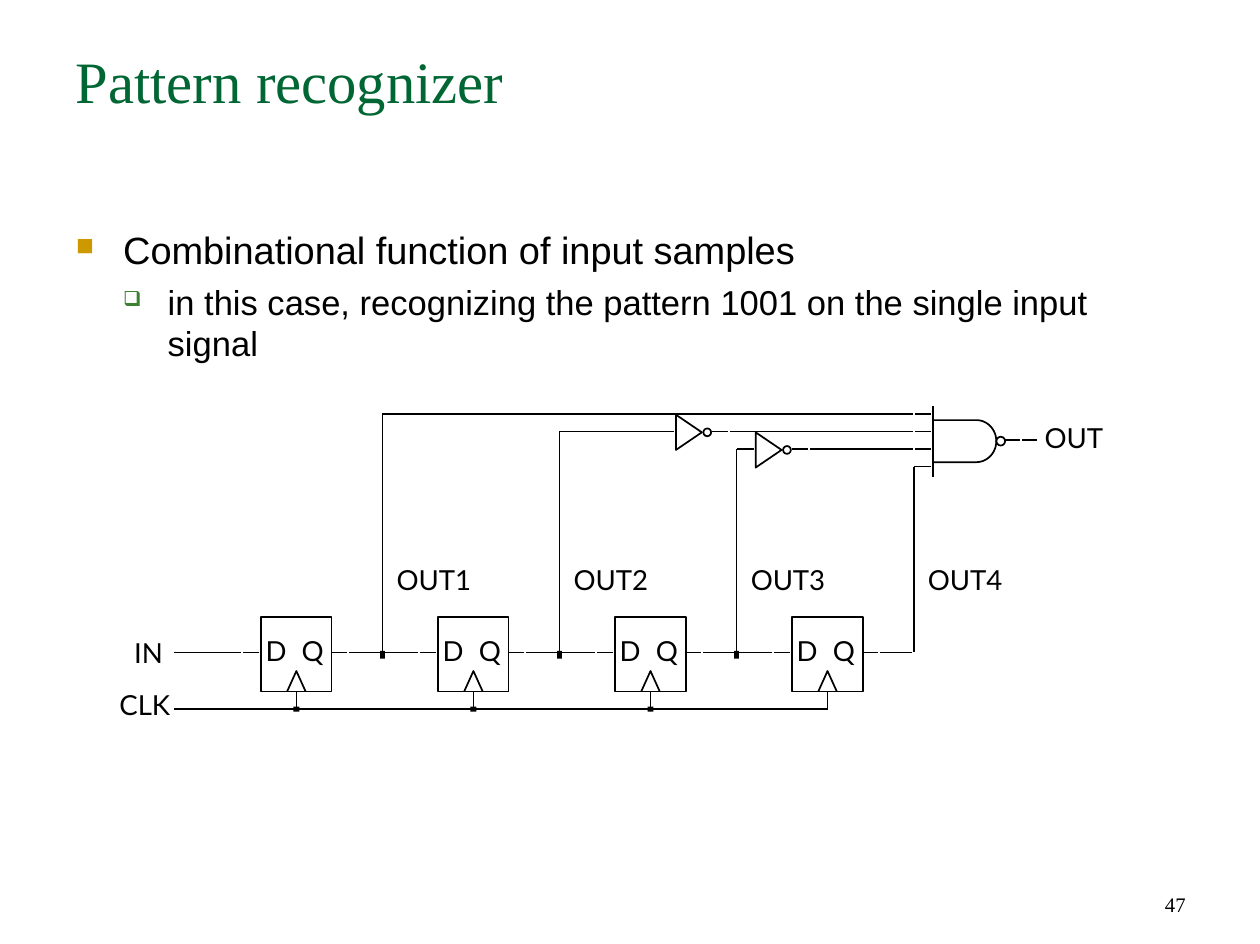
"""Build a slide that shows a shift-register pattern recognizer circuit."""
import math
from dataclasses import dataclass

import lxml.etree
import pptx
import pptx.dml.color
import pptx.enum.shapes
import pptx.enum.text
import pptx.oxml.ns
import pptx.util

Cm = pptx.util.Cm
Pt = pptx.util.Pt
qn = pptx.oxml.ns.qn
Align = pptx.enum.text.PP_ALIGN
Anchor = pptx.enum.text.MSO_ANCHOR
Preset = pptx.enum.shapes.MSO_SHAPE


@dataclass(frozen=True)
class Theme:
    """Colours, fonts and type sizes of the slide."""
    ink: str = "000000"
    paper: str = "FFFFFF"
    title: str = "006633"
    bullet: str = "CC9900"
    sub_bullet: str = "3B812F"
    serif: str = "Times New Roman"
    sans: str = "Arial"
    label_font: str = "Lato"
    title_size: int = 34
    body_size: int = 22
    sub_size: int = 20
    label_size: int = 16
    number_size: int = 12
    stroke: float = 1


THEME = Theme()
STAGES = 4
STAGE_LEFT, STAGE_PITCH = 5.33, 3.62
STAGE_WIDTH, STAGE_HEIGHT, STAGE_TOP = 1.45, 1.52, 12.62
STAGE_BOTTOM = STAGE_TOP + STAGE_HEIGHT
TAP_OFFSET, CLOCK_OFFSET = 2.49, 0.73
DATA_Y, CLOCK_Y = 13.34, 14.5
INPUT_X, JOINT, WIRE_GAP = 3.56, 0.36, 0.04
GATE_X, GATE_JOINT_X = 19.08, 18.7
GATE_INPUT_TOP, GATE_INPUT_PITCH = 8.46, 0.36
INVERTERS = {1: 13.82, 2: 15.45}


def rgb(value):
    """Return a colour object for a hex value."""
    return pptx.dml.color.RGBColor.from_string(value)


def set_font(paragraph, name, size, color):
    """Set the font of a whole paragraph."""
    paragraph.font.name = name
    paragraph.font.size = Pt(size)
    paragraph.font.color.rgb = rgb(color)


def add_frame(slide, box, margins=(0.25, 0.13), anchor=Anchor.TOP):
    """Add a wrapping text box and return its text frame."""
    frame = slide.shapes.add_textbox(*map(Cm, box)).text_frame
    frame.word_wrap = True
    frame.vertical_anchor = anchor
    frame.margin_left = frame.margin_right = Cm(margins[0])
    frame.margin_top = frame.margin_bottom = Cm(margins[1])
    return frame


def add_label(slide, text, left, top, width, align=Align.LEFT):
    """Add a one-line circuit label."""
    paragraph = add_frame(slide, (left, top, width, 0.97), (0.05, 0.08)).paragraphs[0]
    paragraph.text = text
    paragraph.alignment = align
    paragraph.line_spacing = Pt(17)
    set_font(paragraph, THEME.label_font, THEME.label_size, THEME.ink)


def add_bullet(paragraph, symbol, color, percent, margin, indent):
    """Give a paragraph a coloured bullet with a hanging indent."""
    properties = paragraph._p.get_or_add_pPr()
    properties.set("marL", str(Cm(margin)))
    properties.set("indent", str(Cm(-indent)))
    bullet_color = lxml.etree.SubElement(properties, qn("a:buClr"))
    lxml.etree.SubElement(bullet_color, qn("a:srgbClr"), val=color)
    lxml.etree.SubElement(properties, qn("a:buSzPct"), val=str(percent * 1000))
    lxml.etree.SubElement(properties, qn("a:buChar"), char=symbol)


def add_line(slide, x1, y1, x2, y2):
    """Add a straight line without shadow."""
    line = slide.shapes.add_connector(
        pptx.enum.shapes.MSO_CONNECTOR.STRAIGHT, *map(Cm, (x1, y1, x2, y2)))
    line.line.color.rgb = rgb(THEME.ink)
    line.line.width = Pt(THEME.stroke)
    lxml.etree.SubElement(line._element.spPr, qn("a:effectLst"))


def add_wire(slide, y, *stops):
    """Add a horizontal wire in segments that end just short of each stop."""
    for start, end in zip(stops, stops[1:]):
        add_line(slide, start, y, end - WIRE_GAP, y)


def style_shape(shape, fill=None):
    """Outline a shape and fill it or leave it open."""
    shape.shadow.inherit = False
    shape.line.color.rgb = rgb(THEME.ink)
    shape.line.width = Pt(THEME.stroke)
    if fill:
        shape.fill.solid()
        shape.fill.fore_color.rgb = rgb(fill)
    else:
        shape.fill.background()


def add_dot(slide, x, y, width, height):
    """Add a solid wire junction centred on a point."""
    dot = slide.shapes.add_shape(
        Preset.RECTANGLE, *map(Cm, (x - width / 2, y - height / 2, width, height)))
    style_shape(dot, THEME.ink)
    dot.line.fill.background()


def add_bubble(slide, left, middle, size):
    """Add an inversion circle."""
    style_shape(slide.shapes.add_shape(
        Preset.OVAL, *map(Cm, (left, middle - size / 2, size, size))))


def add_outline(slide, points, close):
    """Add an unfilled outline through the points."""
    corners = [(Cm(x), Cm(y)) for x, y in points]
    builder = slide.shapes.build_freeform(*corners[0])
    builder.add_line_segments(corners[1:], close=close)
    style_shape(builder.convert_to_shape())


def add_inverter(slide, left, y):
    """Add an inverter triangle and its bubble."""
    middle = y + 0.02
    add_outline(slide, [(left, middle - 0.36), (left + 0.53, middle),
                        (left, middle + 0.36)], True)
    add_bubble(slide, left + 0.56, middle, 0.16)


def add_nand_gate(slide):
    """Add the output gate with its input bar, bubble and output wire."""
    center_x, center_y, radius_x, radius_y = 19.96, 9.02, 0.41, 0.43
    angles = [math.radians(degrees) for degrees in range(-90, 91, 5)]
    arc = [(center_x + radius_x * math.cos(angle), center_y + radius_y * math.sin(angle))
           for angle in angles]
    add_outline(slide, [(GATE_X, center_y - radius_y), *arc,
                        (GATE_X, center_y + radius_y)], False)
    add_line(slide, GATE_X, 8.31, GATE_X, 9.75)
    add_bubble(slide, 20.37, center_y, 0.18)
    add_wire(slide, 8.99, 20.55, 20.9, 21.25)
    add_label(slide, "OUT", 21.31, 8.61, 2.24)


def add_stage(slide, index):
    """Add a flip-flop with its clock pin, output wire and tap to the gate."""
    left = STAGE_LEFT + index * STAGE_PITCH
    right, tap, clock = left + STAGE_WIDTH, left + TAP_OFFSET, left + CLOCK_OFFSET
    following = left + STAGE_PITCH
    last = index == STAGES - 1
    style_shape(slide.shapes.add_shape(
        Preset.RECTANGLE, *map(Cm, (left, STAGE_TOP, STAGE_WIDTH, STAGE_HEIGHT))), THEME.paper)
    add_outline(slide, [(clock - 0.19, STAGE_BOTTOM), (clock, 13.72),
                        (clock + 0.19, STAGE_BOTTOM)], False)
    add_label(slide, "D", left + 0.05, 12.95, 0.7)
    add_label(slide, "Q", left + 0.79, 12.95, 0.7)
    add_line(slide, clock, STAGE_BOTTOM, clock, CLOCK_Y)
    add_wire(slide, DATA_Y, right, right + JOINT, tap)
    if not last:
        add_wire(slide, DATA_Y, tap, following - JOINT, following)
        add_dot(slide, tap, 13.39, 0.1, 0.16)
        add_dot(slide, clock, CLOCK_Y, 0.12, 0.1)

    input_y = GATE_INPUT_TOP + index * GATE_INPUT_PITCH
    add_line(slide, tap, input_y, tap, DATA_Y)
    add_label(slide, f"OUT{index + 1}", tap + 0.24, 11.51, 2)
    if index in INVERTERS:
        inverter = INVERTERS[index]
        add_wire(slide, input_y, tap, inverter)
        add_inverter(slide, inverter, input_y)
        add_wire(slide, input_y, inverter + 0.74, inverter + 1.1, GATE_JOINT_X, GATE_X)
    elif last:
        add_wire(slide, input_y, tap, GATE_X)
    else:
        add_wire(slide, input_y, tap, GATE_JOINT_X, GATE_X)


def add_inputs(slide):
    """Add the data and clock inputs."""
    clocks = [STAGE_LEFT + CLOCK_OFFSET + index * STAGE_PITCH for index in range(STAGES)]
    add_wire(slide, DATA_Y, INPUT_X, STAGE_LEFT - JOINT, STAGE_LEFT)
    add_line(slide, INPUT_X, CLOCK_Y, clocks[-1], CLOCK_Y)
    add_label(slide, "IN", 1.9, 13, 1.48, Align.RIGHT)
    add_label(slide, "CLK", 2.1, 14.07, 1.43, Align.RIGHT)


def add_texts(slide):
    """Add the title, the bullets and the slide number."""
    title = add_frame(slide, (1.3, 0.79, 23.16, 3.2)).paragraphs[0]
    title.text = "Pattern recognizer"
    set_font(title, THEME.serif, THEME.title_size, THEME.title)

    body = add_frame(slide, (1.3, 4.5, 23.16, 12.75))
    point = body.paragraphs[0]
    point.text = "Combinational function of input samples"
    add_bullet(point, "■", THEME.bullet, 65, 0.97, 0.97)
    set_font(point, THEME.sans, THEME.body_size, THEME.ink)
    detail = body.add_paragraph()
    detail.text = "in this case, recognizing the pattern 1001 on the single input signal"
    detail.level = 1
    add_bullet(detail, "❑", THEME.sub_bullet, 60, 1.88, 0.91)
    detail.space_before = Pt(5)
    set_font(detail, THEME.sans, THEME.sub_size, THEME.ink)

    number = add_frame(slide, (18.47, 17.58, 6.02, 1.3), anchor=Anchor.BOTTOM).paragraphs[0]
    number.text = "47"
    number.alignment = Align.RIGHT
    set_font(number, THEME.serif, THEME.number_size, THEME.ink)


def main():
    """Build and save the presentation."""
    presentation = pptx.Presentation()
    presentation.slide_width, presentation.slide_height = Cm(25.76), Cm(19.3)
    slide = presentation.slides.add_slide(presentation.slide_layouts[6])
    add_texts(slide)
    add_nand_gate(slide)
    for index in range(STAGES):
        add_stage(slide, index)
    add_inputs(slide)
    presentation.save("out.pptx")


if __name__ == "__main__":
    main()
